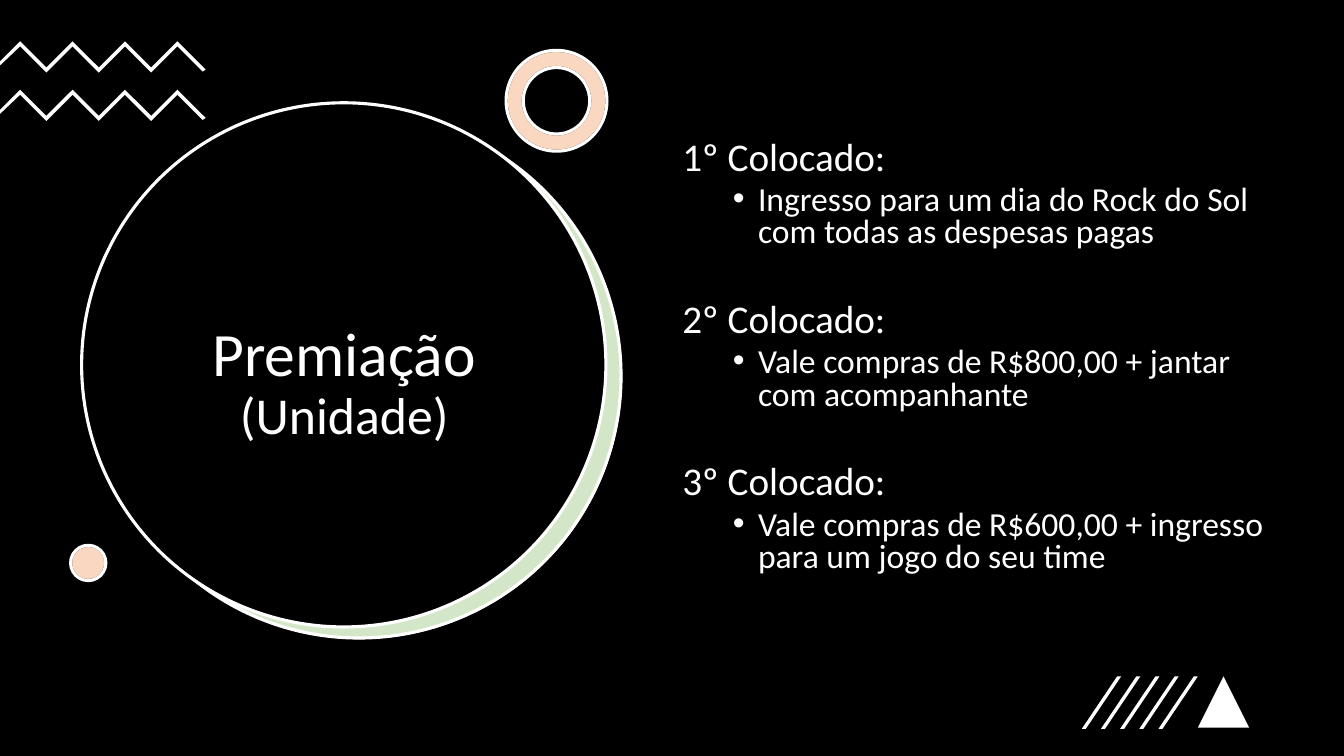
"""Build the award slide: a title disc, three prizes and line ornaments."""
from pptx import Presentation
from pptx import util as u
from pptx.dml.color import RGBColor
from pptx.enum import shapes, text
from pptx.oxml.ns import qn
from lxml import etree

BLACK = RGBColor(0x00, 0x00, 0x00)
WHITE = RGBColor(0xFF, 0xFF, 0xFF)
GREEN = RGBColor(0x70, 0xAD, 0x47)
ORANGE = RGBColor(0xED, 0x7D, 0x31)
SHAPE = shapes.MSO_SHAPE

prs = Presentation()
prs.slide_width, prs.slide_height = u.Inches(13.33), u.Inches(7.5)
s = prs.slides.add_slide(prs.slide_layouts[6])


def style(sp, fill, line=None, alpha=None):
    sp.shadow.inherit = False
    sp.fill.solid()
    sp.fill.fore_color.rgb = fill
    if alpha:
        color = sp.fill._xPr.find(qn("a:solidFill"))[0]
        etree.SubElement(color, qn("a:alpha"), val=str(alpha * 1000))
    if line is None:
        sp.line.fill.background()
    else:
        sp.line.color.rgb = line
        sp.line.width = u.Pt(2.25)


def polygon(points):
    pts = [(u.Inches(x), u.Inches(y)) for x, y in points]
    fb = s.shapes.build_freeform(*pts[0])
    fb.add_line_segments(pts[1:], close=True)
    style(fb.convert_to_shape(), WHITE)


DISC = 5.2
ornaments = [
    (SHAPE.RECTANGLE, 0, 0, 13.33, 7.5, BLACK, None, None),
    (SHAPE.OVAL, 0.97, 1.14, DISC, DISC, WHITE, None, None),
    (SHAPE.OVAL, 0.96, 1.13, DISC, DISC, GREEN, WHITE, 30),
    (SHAPE.OVAL, 0.81, 1.02, DISC, DISC, BLACK, WHITE, None),
    (SHAPE.DONUT, 5.02, 0.5, 1, 1, WHITE, BLACK, None),
    (SHAPE.DONUT, 5.02, 0.5, 1, 1, ORANGE, WHITE, 30),
    (SHAPE.OVAL, 0.7, 5.41, 0.35, 0.35, WHITE, BLACK, None),
    (SHAPE.OVAL, 0.7, 5.41, 0.35, 0.35, ORANGE, WHITE, 30),
    (SHAPE.ISOSCELES_TRIANGLE, 11.88, 6.71, 0.51, 0.51, WHITE, None, None),
]
for kind, x, y, w, h, fill, line, alpha in ornaments:
    sp = s.shapes.add_shape(kind, *map(u.Inches, (x, y, w, h)))
    style(sp, fill, line, alpha)
    if kind == SHAPE.DONUT:
        sp.adjustments[0] = 0.17

for top in (0.41, 0.89):
    zigzag = [(0.2 + 0.26 * i, top + 0.26 * (i % 2)) for i in range(7)]
    upper = [(0, top + 0.2), *zigzag, (2.04, top + 0.28)]
    lower = [(x, y + 0.05) for x, y in reversed(zigzag)]
    polygon(upper + [(2.01, top + 0.3)] + lower + [(0, top + 0.24)])

for i in range(5):
    x = 10.73 + 0.19 * i
    polygon([(x + 0.04, 7.23), (x, 7.23), (x + 0.35, 6.71), (x + 0.39, 6.71)])

title = s.shapes.add_textbox(*map(u.Inches, (1.21, 2.05, 4.41, 3.52)))
tf = title.text_frame
tf.word_wrap = True
tf.vertical_anchor = text.MSO_ANCHOR.MIDDLE
p = tf.paragraphs[0]
p.alignment = text.PP_ALIGN.CENTER
p.line_spacing = 0.9
runs = []
for words, size in (("Premiação", 44), ("(Unidade)", 37)):
    if runs:
        p.add_line_break()
    r = p.add_run()
    r.text = words
    runs.append((r, size))

prizes = [
    ("1º Colocado:", "Ingresso para um dia do Rock do Sol com todas as despesas pagas"),
    ("2º Colocado:", "Vale compras de R$800,00 + jantar com acompanhante"),
    ("3º Colocado:", "Vale compras de R$600,00 + ingresso para um jogo do seu time"),
]
body = s.shapes.add_textbox(*map(u.Inches, (6.67, 1.35, 5.96, 4.76)))
tf = body.text_frame
tf.word_wrap = True
for n, (place, prize) in enumerate(prizes):
    for level, words in enumerate((place, prize)):
        p = tf.add_paragraph() if n or level else tf.paragraphs[0]
        p.level = level
        p.line_spacing = 0.8
        p.space_before = u.Pt(5 if level else 38 if n else 0)
        r = p.add_run()
        r.text = words
        runs.append((r, 24 if level else 28))
        if level:
            pPr = p._p.get_or_add_pPr()
            pPr.set("marL", str(u.Inches(0.75)))
            pPr.set("indent", str(u.Inches(-0.25)))
            etree.SubElement(pPr, qn("a:buFont"), typeface="Arial")
            etree.SubElement(pPr, qn("a:buChar"), char="•")

for r, size in runs:
    for name, value in {"name": "Calibri", "size": u.Pt(size)}.items():
        setattr(r.font, name, value)
    r.font.color.rgb = WHITE

prs.save("out.pptx")
